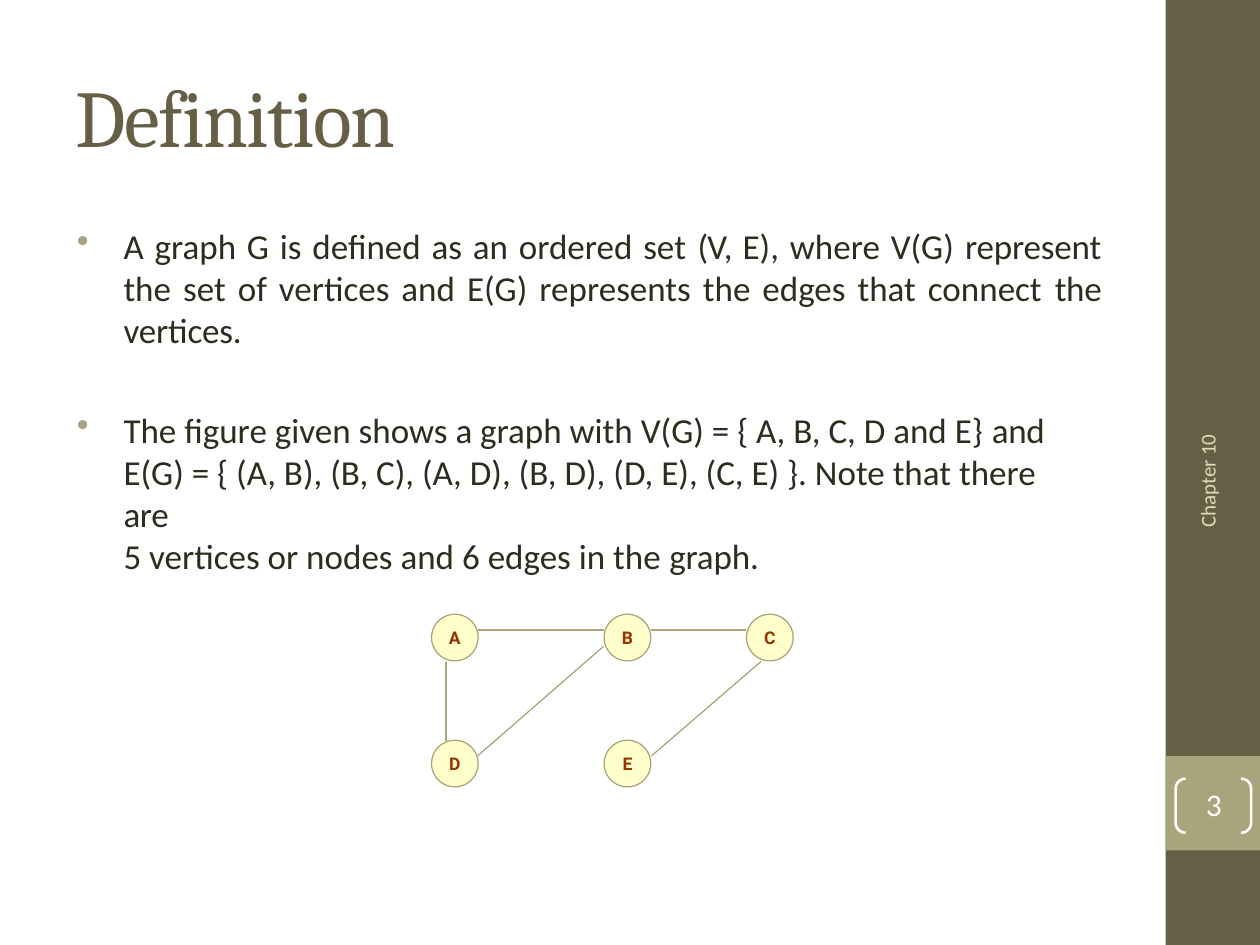
from dataclasses import dataclass

from lxml import etree
from pptx import Presentation
from pptx.dml.color import RGBColor
from pptx.enum.shapes import MSO_CONNECTOR, MSO_SHAPE
from pptx.enum.text import MSO_ANCHOR, PP_ALIGN
from pptx.oxml.ns import qn
from pptx.util import Inches, Pt

RECTANGLE = MSO_SHAPE.RECTANGLE
OVAL = MSO_SHAPE.OVAL
LEFT_BRACKET = MSO_SHAPE.LEFT_BRACKET
RIGHT_BRACKET = MSO_SHAPE.RIGHT_BRACKET
STRAIGHT = MSO_CONNECTOR.STRAIGHT
CENTER, JUSTIFY, LEFT = PP_ALIGN.CENTER, PP_ALIGN.JUSTIFY, PP_ALIGN.LEFT
MIDDLE = MSO_ANCHOR.MIDDLE

COLORS = {
    "sidebar": "675E46",
    "accent": "A9A47B",
    "body": "2E2B1F",
    "chapter": "DFDCB7",
    "white": "FFFFFF",
    "vertex": "FFFFCC",
    "label": "993300",
}
VERTEX_SIZE = 0.37


@dataclass(frozen=True)
class Style:
    font: str
    size: float
    color: str
    bold: bool = False


@dataclass(frozen=True)
class Vertex:
    name: str
    center_x: float
    center_y: float


@dataclass(frozen=True)
class Edge:
    start: tuple[float, float]
    end: tuple[float, float]


@dataclass(frozen=True)
class Bullet:
    """One bulleted paragraph; each line is a tuple of (text, spacing) runs."""
    lines: tuple
    alignment: PP_ALIGN
    space_before: float


TITLE = Style("Cambria", 46, "sidebar")
BODY = Style("Calibri", 20, "body")
CHAPTER = Style("Calibri", 12, "chapter")
NUMBER = Style("Calibri", 18, "white")
LABEL = Style("Roboto", 10, "label", True)

BULLETS = [
    Bullet((
        (("A graph G is defined as an ordered set ", 0), ("(V, ", -0.4),
         ("E), where V(G) ", 0), ("represent", -0.1)),
        (("the set of vertices and E(G) represents the edges that connect ", 0),
         ("the ", -0.2), ("vertices.", -0.1)),
    ), JUSTIFY, 0.9),
    Bullet((
        (("The figure given shows a graph with V(G) = { A, B, C, D and E} ", 0),
         ("and", -0.2)),
        (("E(G) = { (A, B), (B, C), (A, D), (B, D), (D, E), (C, E) }. "
          "Note that there", 0),),
        (("are", -0.2),),
        (("5 vertices or nodes and 6 edges in the ", 0), ("graph.", -0.1)),
    ), LEFT, 33.3),
]
VERTICES = [
    Vertex("A", 3.61, 5.06),
    Vertex("B", 4.98, 5.06),
    Vertex("C", 6.11, 5.06),
    Vertex("D", 3.61, 6.06),
    Vertex("E", 4.98, 6.06),
]
EDGES = [
    Edge((3.54, 5.25), (3.54, 5.88)),
    Edge((3.79, 5), (4.79, 5)),
    Edge((3.79, 6), (4.79, 5.13)),
    Edge((5.17, 5), (5.92, 5)),
    Edge((6.04, 5.25), (5.17, 6)),
]


def rgb(name: str) -> RGBColor:
    return RGBColor.from_string(COLORS[name])


def add_run(paragraph, text: str, style: Style, spacing: float = 0) -> None:
    run = paragraph.add_run()
    run.text = text
    run.font.name = style.font
    run.font.size = Pt(style.size)
    run.font.bold = style.bold
    run.font.color.rgb = rgb(style.color)
    if spacing:
        run.font._element.set("spc", str(round(spacing * 100)))


def clear_margins(frame, top: float = 0) -> None:
    frame.margin_left = frame.margin_right = frame.margin_bottom = 0
    frame.margin_top = Inches(top)


def add_text_frame(slide, left: float, top: float, width: float, height: float,
                   top_margin: float = 0):
    box = slide.shapes.add_textbox(
        Inches(left), Inches(top), Inches(width), Inches(height))
    frame = box.text_frame
    frame.word_wrap = True
    clear_margins(frame, top_margin)
    return frame


def add_shape(slide, kind, left: float, top: float, width: float, height: float,
              fill: str | None = None, line: str | None = None,
              line_width: float = 0.72):
    shape = slide.shapes.add_shape(
        kind, Inches(left), Inches(top), Inches(width), Inches(height))
    shape.shadow.inherit = False
    if fill:
        shape.fill.solid()
        shape.fill.fore_color.rgb = rgb(fill)
    else:
        shape.fill.background()
    if line:
        shape.line.color.rgb = rgb(line)
        shape.line.width = Pt(line_width)
    else:
        shape.line.fill.background()
    return shape


def set_bullet(paragraph) -> None:
    """Give the paragraph a hanging indent and a coloured bullet."""
    properties = paragraph._p.get_or_add_pPr()
    properties.set("marL", str(Inches(0.39)))
    properties.set("indent", str(Inches(-0.37)))
    color = etree.SubElement(properties, qn("a:buClr"))
    etree.SubElement(color, qn("a:srgbClr"), val=COLORS["accent"])
    etree.SubElement(properties, qn("a:buChar"), char="•")


def add_bullets(slide) -> None:
    frame = add_text_frame(slide, 0.59, 1.77, 8.15, 2.85, 0.01)
    for index, bullet in enumerate(BULLETS):
        paragraph = frame.add_paragraph() if index else frame.paragraphs[0]
        paragraph.alignment = bullet.alignment
        paragraph.space_before = Pt(bullet.space_before)
        set_bullet(paragraph)
        for line_index, line in enumerate(bullet.lines):
            if line_index:
                paragraph.add_line_break()
            for text, spacing in line:
                add_run(paragraph, text, BODY, spacing)


def add_sidebar(slide) -> None:
    add_shape(slide, RECTANGLE, 9.25, 0, 0.75, 7.5, "sidebar")
    add_shape(slide, RECTANGLE, 9.25, 6, 0.75, 0.75, "accent")
    for kind, left in ((LEFT_BRACKET, 9.33), (RIGHT_BRACKET, 9.85)):
        bracket = add_shape(slide, kind, left, 6.18, 0.08, 0.43,
                            line="white", line_width=1.44)
        bracket.adjustments[0] = 1

    chapter = add_text_frame(slide, 9.51, 3.42, 0.19, 0.77)
    chapter._txBody.bodyPr.set("vert", "vert270")
    paragraph = chapter.paragraphs[0]
    paragraph.line_spacing = Pt(12.4)
    add_run(paragraph, "Chapter ", CHAPTER)
    add_run(paragraph, "10", CHAPTER, -0.2)

    number = add_text_frame(slide, 9.57, 6.22, 0.15, 0.33, 0.01).paragraphs[0]
    number.space_before = Pt(1)
    add_run(number, "3", NUMBER, -0.5)


def add_vertex(slide, vertex: Vertex) -> None:
    radius = VERTEX_SIZE / 2
    shape = add_shape(slide, OVAL, vertex.center_x - radius, vertex.center_y - radius,
                      VERTEX_SIZE, VERTEX_SIZE, "vertex", "accent")
    frame = shape.text_frame
    clear_margins(frame)
    frame.word_wrap = False
    frame.vertical_anchor = MIDDLE
    frame.paragraphs[0].alignment = CENTER
    add_run(frame.paragraphs[0], vertex.name, LABEL)


def add_edge(slide, edge: Edge) -> None:
    connector = slide.shapes.add_connector(
        STRAIGHT, *(Inches(value) for value in edge.start + edge.end))
    connector.line.color.rgb = rgb("accent")
    connector.line.width = Pt(0.72)
    etree.SubElement(connector._element.spPr, qn("a:effectLst"))


def main() -> None:
    presentation = Presentation()
    presentation.slide_width = Inches(10)
    presentation.slide_height = Inches(7.5)
    slide = presentation.slides.add_slide(presentation.slide_layouts[6])

    add_sidebar(slide)
    title = add_text_frame(slide, 0.6, 0.18, 8.15, 1.15, 0.35).paragraphs[0]
    title.space_before = Pt(1.1)
    add_run(title, "Definition", TITLE, -0.8)
    add_bullets(slide)
    for vertex in VERTICES:
        add_vertex(slide, vertex)
    for edge in EDGES:
        add_edge(slide, edge)

    presentation.save("out.pptx")


if __name__ == "__main__":
    main()
